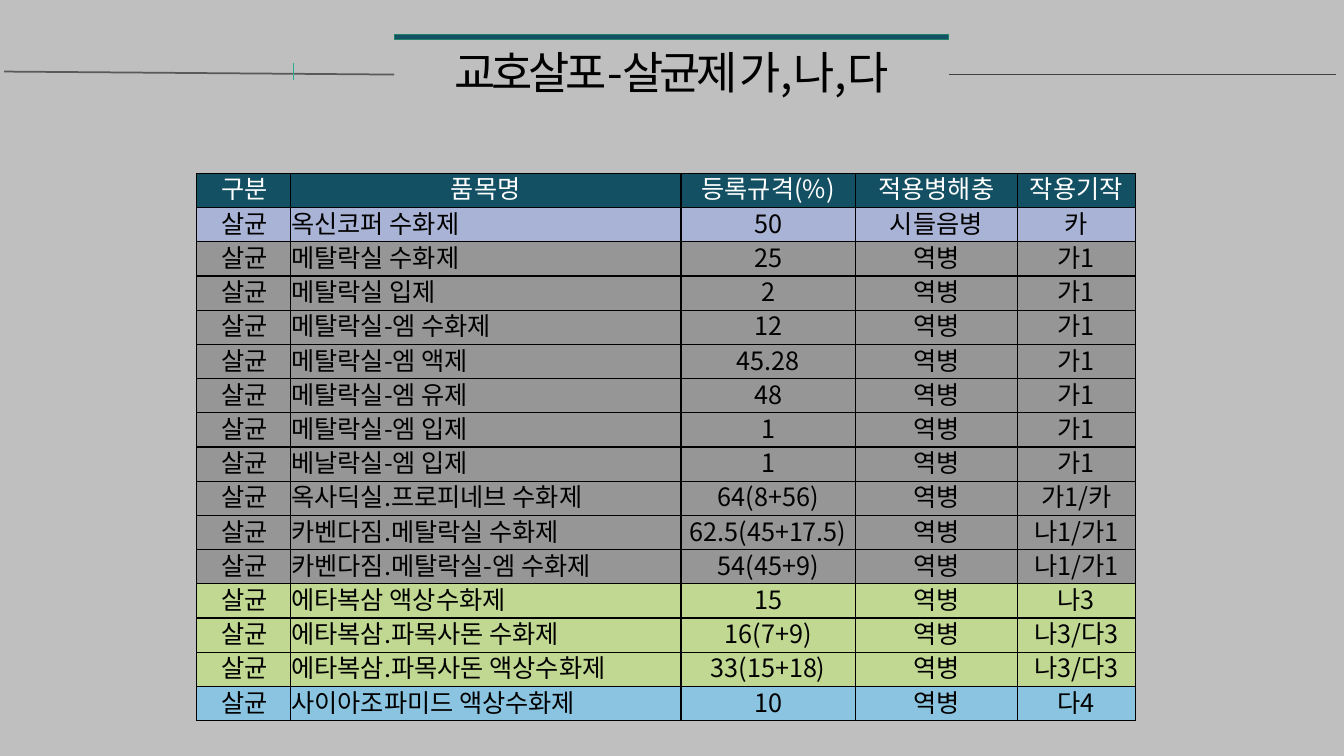
from lxml import etree
from pptx import Presentation
from pptx.dml.color import RGBColor
from pptx.enum import shapes, text
from pptx.oxml import ns
from pptx.util import Inches, Pt

FONT = "Noto Sans CJK KR"
BACKGROUND = RGBColor(0xBF, 0xBF, 0xBF)
TEAL = RGBColor(0x13, 0x50, 0x63)
GREEN = RGBColor(0x29, 0xAF, 0x8C)
DARK_GREEN = RGBColor(0x1E, 0x81, 0x68)
GREY = RGBColor(0x59, 0x59, 0x59)
DARK_GREY = RGBColor(0x40, 0x40, 0x40)
BLACK = RGBColor(0, 0, 0)
WHITE = RGBColor(0xFF, 0xFF, 0xFF)
LILAC = RGBColor(0xA9, 0xB3, 0xD5)
ASH = RGBColor(0x96, 0x96, 0x96)
LIME = RGBColor(0xC1, 0xD8, 0x92)
SKY = RGBColor(0x8B, 0xC4, 0xE0)

TITLE = "교호살포-살균제 가,나,다"
HEADINGS = ("구분", "품목명", "등록규격(%)", "적용병해충", "작용기작")
CATEGORY = "살균"
BLIGHT = "역병"
PRODUCTS = [
    (LILAC, "옥신코퍼 수화제", "50", "시들음병", "카"),
    (ASH, "메탈락실 수화제", "25", BLIGHT, "가1"),
    (ASH, "메탈락실 입제", "2", BLIGHT, "가1"),
    (ASH, "메탈락실-엠 수화제", "12", BLIGHT, "가1"),
    (ASH, "메탈락실-엠 액제", "45.28", BLIGHT, "가1"),
    (ASH, "메탈락실-엠 유제", "48", BLIGHT, "가1"),
    (ASH, "메탈락실-엠 입제", "1", BLIGHT, "가1"),
    (ASH, "베날락실-엠 입제", "1", BLIGHT, "가1"),
    (ASH, "옥사딕실.프로피네브 수화제", "64(8+56)", BLIGHT, "가1/카"),
    (ASH, "카벤다짐.메탈락실 수화제", "62.5(45+17.5)", BLIGHT, "나1/가1"),
    (ASH, "카벤다짐.메탈락실-엠 수화제", "54(45+9)", BLIGHT, "나1/가1"),
    (LIME, "에타복삼 액상수화제", "15", BLIGHT, "나3"),
    (LIME, "에타복삼.파목사돈 수화제", "16(7+9)", BLIGHT, "나3/다3"),
    (LIME, "에타복삼.파목사돈 액상수화제", "33(15+18)", BLIGHT, "나3/다3"),
    (SKY, "사이아조파미드 액상수화제", "10", BLIGHT, "다4"),
]
COLUMN_SHARES = (0.93, 3.88, 1.73, 1.61, 1.17)


def add_run(paragraph, wording, size, color):
    run = paragraph.add_run()
    run.text = wording
    run.font.size = Pt(size)
    run.font.color.rgb = color
    run.font.name = FONT
    properties = run.font._element
    etree.SubElement(properties, ns.qn("a:ea"), typeface=FONT)
    return properties


def add_rule(slide, start, end, color, weight):
    rule = slide.shapes.add_connector(
        shapes.MSO_CONNECTOR.STRAIGHT, *map(Inches, start + end))
    rule.line.color.rgb = color
    rule.line.width = Pt(weight)
    etree.SubElement(rule._element.spPr, ns.qn("a:effectLst"))


def add_title(slide, left, top, width, height):
    bar = slide.shapes.add_shape(
        shapes.MSO_SHAPE.RECTANGLE, Inches(left), Inches(top - 0.05),
        Inches(width), Inches(0.05))
    bar.shadow.inherit = False
    bar.fill.solid()
    bar.fill.fore_color.rgb = TEAL
    bar.line.color.rgb = DARK_GREEN
    bar.line.width = Pt(0)

    middle = top + height / 2
    add_rule(slide, (0.04, middle - 0.03), (left, middle), GREY, 1.25)
    add_rule(slide, (2.91, middle - 0.11), (2.91, middle + 0.05), GREEN, 0.5)
    add_rule(slide, (left + width, middle), (13.25, middle), DARK_GREY, 1)

    heading = slide.shapes.add_textbox(*map(Inches, (left, top, width, height)))
    frame = heading.text_frame
    frame.word_wrap = True
    frame.vertical_anchor = text.MSO_ANCHOR.MIDDLE
    paragraph = frame.paragraphs[0]
    paragraph.alignment = text.PP_ALIGN.CENTER
    paragraph.line_spacing = 0.9
    add_run(paragraph, TITLE, 32, BLACK).set("spc", "-300")


def style_cell(cell, fill):
    cell.margin_left = cell.margin_right = cell.margin_bottom = 0
    cell.margin_top = Inches(0.03)
    properties = cell._tc.get_or_add_tcPr()
    for side in ("lnL", "lnR", "lnT", "lnB"):
        border = etree.SubElement(properties, ns.qn("a:" + side), w=str(Pt(1)))
        solid = etree.SubElement(border, ns.qn("a:solidFill"))
        etree.SubElement(solid, ns.qn("a:srgbClr"), val=str(BLACK))
    cell.fill.solid()
    cell.fill.fore_color.rgb = fill


def fill_cell(cell, wording, column, is_heading, fill):
    style_cell(cell, fill)
    paragraph = cell.text_frame.paragraphs[0]
    paragraph.line_spacing = Pt(21.3)
    paragraph.alignment = text.PP_ALIGN.CENTER
    if column == 0:
        paragraph.alignment = text.PP_ALIGN.RIGHT
        paragraph._p.get_or_add_pPr().set("marR", str(Inches(0.22)))
    elif column == 1 and not is_heading:
        paragraph.alignment = text.PP_ALIGN.LEFT
        paragraph._p.get_or_add_pPr().set("marL", str(Inches(0.01)))
    add_run(paragraph, wording, 18, WHITE if is_heading else BLACK)


def add_product_table(slide, left, top, width, height):
    rows = [(TEAL, HEADINGS)]
    rows += [(fill, (CATEGORY, *details)) for fill, *details in PRODUCTS]
    products = slide.shapes.add_table(
        len(rows), len(HEADINGS),
        *map(Inches, (left, top, width, height))).table
    for column, share in zip(products.columns, COLUMN_SHARES):
        column.width = Inches(width * share / sum(COLUMN_SHARES))
    for row_index, (fill, wordings) in enumerate(rows):
        products.rows[row_index].height = Inches(height / len(rows))
        for column, wording in enumerate(wordings):
            fill_cell(products.cell(row_index, column), wording, column,
                      row_index == 0, fill)


def main():
    deck = Presentation()
    deck.slide_width = Inches(13.33)
    deck.slide_height = Inches(7.5)
    slide = deck.slides.add_slide(deck.slide_layouts[6])
    slide.background.fill.solid()
    slide.background.fill.fore_color.rgb = BACKGROUND
    add_title(slide, 3.91, 0.39, 5.5, 0.7)
    add_product_table(slide, 1.95, 1.72, 9.31, 5.43)
    deck.save("out.pptx")


if __name__ == "__main__":
    main()
